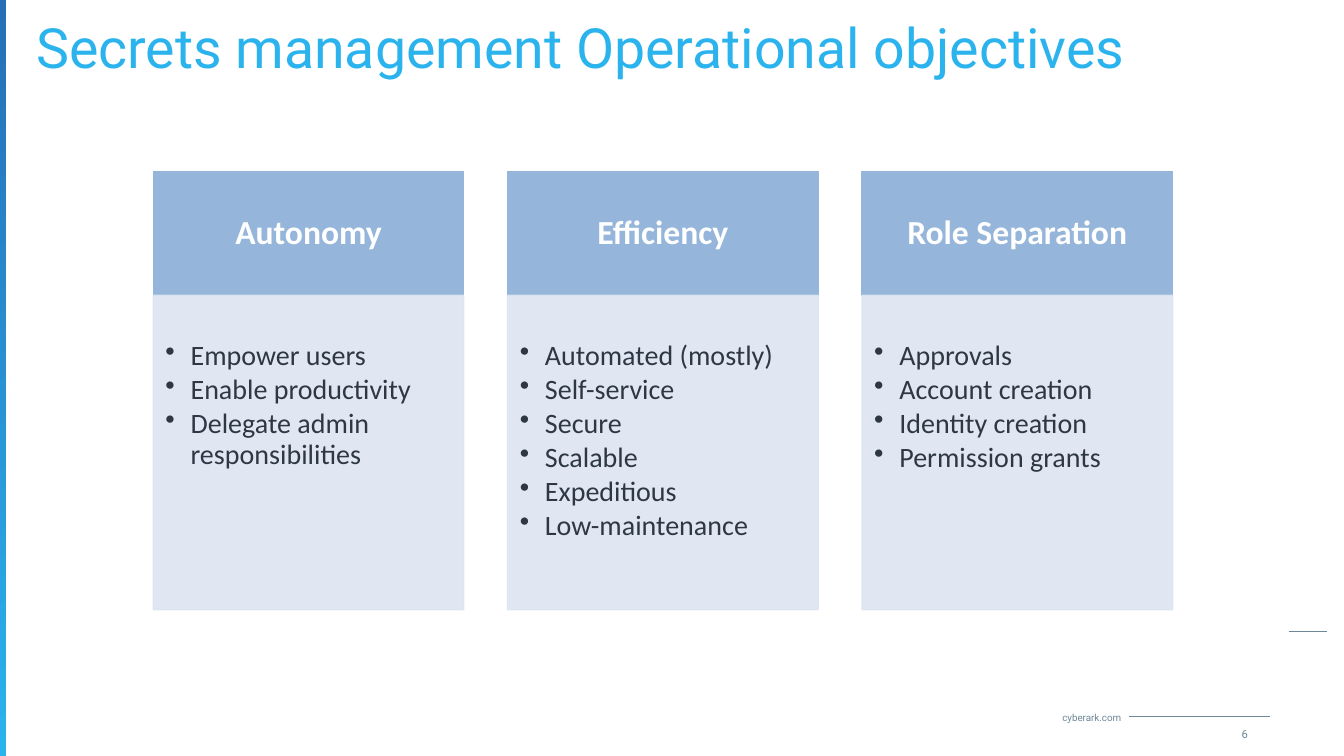
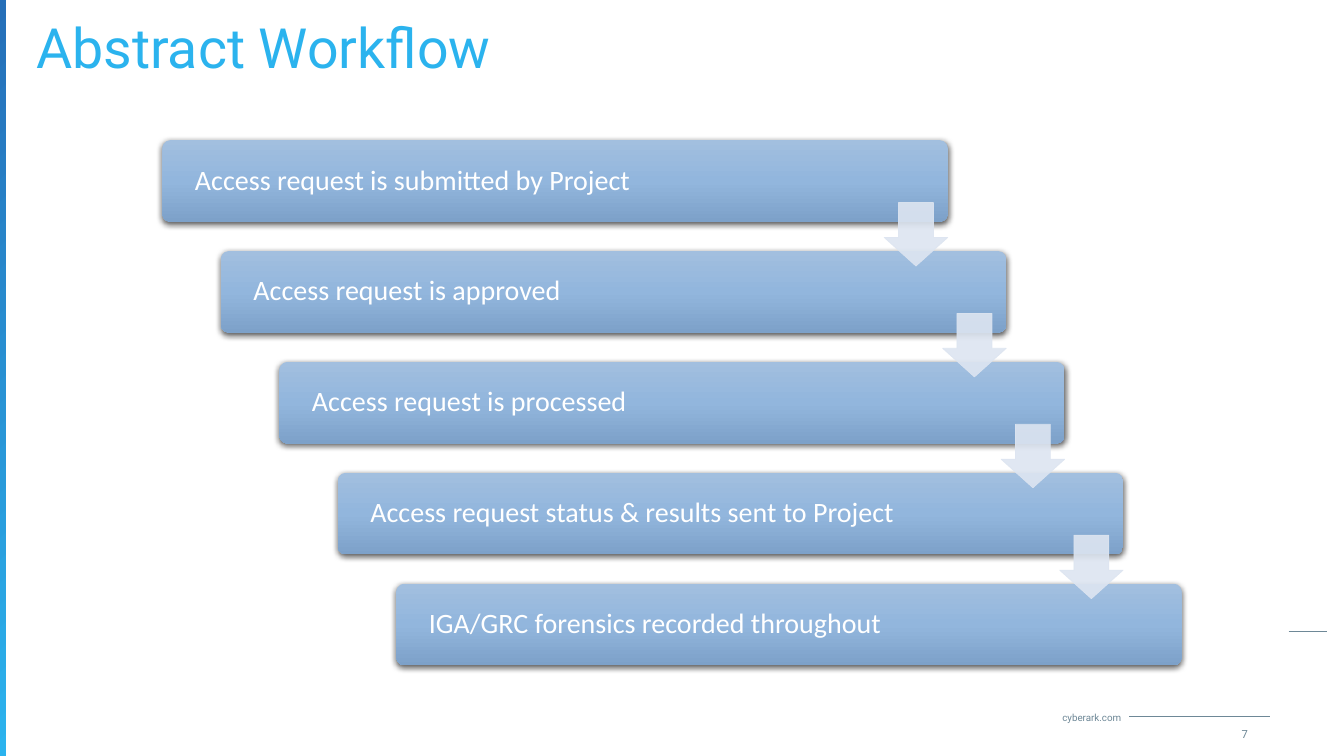
from lxml.etree import SubElement
from pptx import Presentation
from pptx.dml.color import RGBColor
from pptx.enum.shapes import MSO_CONNECTOR, MSO_SHAPE
from pptx.enum.text import MSO_ANCHOR, PP_ALIGN
from pptx.oxml.ns import qn
from pptx.util import Inches, Pt

COLORS = {
    "accent": "2BB3EE",
    "deep": "266FB8",
    "muted": "6E8897",
    "header": "95B6DA",
    "pale": "DDE5F1",
    "ink": "2E3844",
    "white": "FFFFFF",
    "bar_top": "A2BFDF",
    "bar_mid": "92B6DD",
    "bar_end": "7DA1C9",
}
HEADING_FONT = "Roboto"
BODY_FONT = "Calibri"
SITE = "cyberark.com"

OBJECTIVES = [
    ("Autonomy", ["Empower users", "Enable productivity",
                  "Delegate admin responsibilities"]),
    ("Efficiency", ["Automated (mostly)", "Self-service", "Secure",
                    "Scalable", "Expeditious", "Low-maintenance"]),
    ("Role Separation", ["Approvals", "Account creation",
                         "Identity creation", "Permission grants"]),
]
STEPS = [
    "Access request is submitted by Project",
    "Access request is approved",
    "Access request is processed",
    "Access request status & results sent to Project",
    "IGA/GRC forensics recorded throughout",
]


def rgb(name):
    return RGBColor.from_string(COLORS[name])


def set_alpha(fill_parent, percent):
    color = fill_parent.find(qn("a:solidFill"))[0]
    SubElement(color, qn("a:alpha"), val=str(percent * 1000))


class Deck:
    """Holds the presentation, the shared style and the current slide."""

    def __init__(self):
        self.prs = Presentation()
        self.prs.slide_width = Inches(13.33)
        self.prs.slide_height = Inches(7.5)
        self.s = None

    def slide(self, title, number):
        self.s = self.prs.slides.add_slide(self.prs.slide_layouts[6])
        band = self.shape(MSO_SHAPE.RECTANGLE, 0, 0, 0.06, 7.5)
        self.gradient(band, [(0, "deep"), (100, "accent")], 45)
        self.rule(12.78, 13.16, 6.26)
        self.rule(11.2, 12.6, 7.11)
        self.label(SITE, 6.62, 7.06, 4.5, 0.12, 7, "muted", PP_ALIGN.RIGHT)
        self.label(title, 0.36, 0.36, 12.63, 0.44, 39.6, "accent",
                   anchor=MSO_ANCHOR.BOTTOM, spacing=0.9)
        self.label(str(number), 11.73, 7.18, 1.23, 0.2, 8, "muted", PP_ALIGN.CENTER)

    def shape(self, kind, x, y, w, h, fill=None, line_width=None, alpha=None):
        sp = self.s.shapes.add_shape(kind, Inches(x), Inches(y), Inches(w), Inches(h))
        sp.shadow.inherit = False
        if fill:
            sp.fill.solid()
            sp.fill.fore_color.rgb = rgb(fill)
        if line_width:
            sp.line.color.rgb = rgb(fill)
            sp.line.width = Pt(line_width)
        else:
            sp.line.fill.background()
        if alpha:
            spPr = sp._element.spPr
            set_alpha(spPr, alpha)
            set_alpha(spPr.find(qn("a:ln")), alpha)
        return sp

    def gradient(self, sp, stops, angle):
        """Fill with (percent, colour) stops, the angle running clockwise."""
        sp.fill.gradient()
        sp.fill.gradient_angle = 360 - angle
        stop_list = sp._element.spPr.find(qn("a:gradFill")).find(qn("a:gsLst"))
        for gs in list(stop_list):
            stop_list.remove(gs)
        for percent, name in stops:
            gs = SubElement(stop_list, qn("a:gs"), pos=str(percent * 1000))
            SubElement(gs, qn("a:srgbClr"), val=COLORS[name])

    def drop_shadow(self, sp):
        effects = sp._element.spPr.find(qn("a:effectLst"))
        shadow = SubElement(effects, qn("a:outerShdw"), blurRad=str(Pt(4.5)),
                            dist=str(Pt(1.5)), dir="5400000", rotWithShape="0")
        color = SubElement(shadow, qn("a:srgbClr"), val="000000")
        SubElement(color, qn("a:alpha"), val="63000")

    def rule(self, x1, x2, y):
        line = self.s.shapes.add_connector(
            MSO_CONNECTOR.STRAIGHT, Inches(x1), Inches(y), Inches(x2), Inches(y))
        line.line.color.rgb = rgb("muted")
        line.line.width = Pt(0.5)
        SubElement(line._element.spPr, qn("a:effectLst"))

    def set_text(self, sp, lines, size, color, font=BODY_FONT, bold=False,
                 align=PP_ALIGN.LEFT, anchor=MSO_ANCHOR.MIDDLE,
                 insets=(0, 0, 0, 0), spacing=None, after=None, bullet=False):
        tf = sp.text_frame
        tf.word_wrap = True
        tf.vertical_anchor = anchor
        (tf.margin_left, tf.margin_top,
         tf.margin_right, tf.margin_bottom) = map(Inches, insets)
        tf.text = "\n".join(lines)
        for p in tf.paragraphs:
            if bullet:
                pPr = p._p.get_or_add_pPr()
                pPr.set("marL", str(Inches(0.25)))
                pPr.set("indent", str(-Inches(0.25)))
                SubElement(pPr, qn("a:buChar"), char="•")
            p.alignment = align
            if spacing:
                p.line_spacing = spacing
            if after:
                p.space_after = Pt(after)
            for r in p.runs:
                r.font.name = font
                r.font.size = Pt(size)
                r.font.bold = bold
                r.font.color.rgb = rgb(color)

    def label(self, text, x, y, w, h, size, color, align=PP_ALIGN.LEFT,
              anchor=MSO_ANCHOR.MIDDLE, spacing=None):
        box = self.s.shapes.add_textbox(Inches(x), Inches(y), Inches(w), Inches(h))
        self.set_text(box, [text], size, color, HEADING_FONT, align=align,
                      anchor=anchor, spacing=spacing)

    def column(self, x, heading, items):
        top, width, head_height = 1.7, 3.08, 1.23
        head = self.shape(MSO_SHAPE.RECTANGLE, x, top, width, head_height, "header", 1)
        self.set_text(head, [heading], 24, "white", bold=True, align=PP_ALIGN.CENTER,
                      insets=(0.19, 0.11, 0.19, 0.11), spacing=0.9)
        body = self.shape(MSO_SHAPE.RECTANGLE, x, top + head_height, width, 3.12,
                          "pale", 1, alpha=90)
        self.set_text(body, items, 20, "ink", anchor=MSO_ANCHOR.TOP,
                      insets=(0.12, 0.46, 0.16, 0.17), spacing=0.9, after=2.7,
                      bullet=True)

    def step(self, x, y, text):
        bar = self.shape(MSO_SHAPE.ROUNDED_RECTANGLE, x, y, 7.79, 0.81)
        bar.adjustments[0] = 0.1
        self.gradient(bar, [(0, "bar_top"), (50, "bar_mid"), (100, "bar_end")], 90)
        self.drop_shadow(bar)
        self.set_text(bar, [text], 20, "white", insets=(0.3, 0.08, 0.08, 0.08),
                      spacing=0.9)

    def down_arrow(self, x, y):
        arrow = self.shape(MSO_SHAPE.DOWN_ARROW, x, y, 0.63, 0.63, "pale", 0.5, alpha=90)
        arrow.adjustments[0] = 0.55
        arrow.adjustments[1] = 0.45


def main():
    deck = Deck()

    deck.slide("Secrets management Operational objectives", 6)
    first, last = 1.52, 8.55
    pitch = (last - first) / (len(OBJECTIVES) - 1)
    for i, (heading, items) in enumerate(OBJECTIVES):
        deck.column(first + i * pitch, heading, items)

    deck.slide("Abstract Workflow", 7)
    corners = [(1.61 + i * 0.58, 1.39 + i * 1.1) for i in range(len(STEPS))]
    for (x, y), text in zip(corners, STEPS):
        deck.step(x, y, text)
    for x, y in corners[:-1]:
        deck.down_arrow(x + 7.16, y + 0.62)

    deck.prs.save("out.pptx")


if __name__ == "__main__":
    main()
